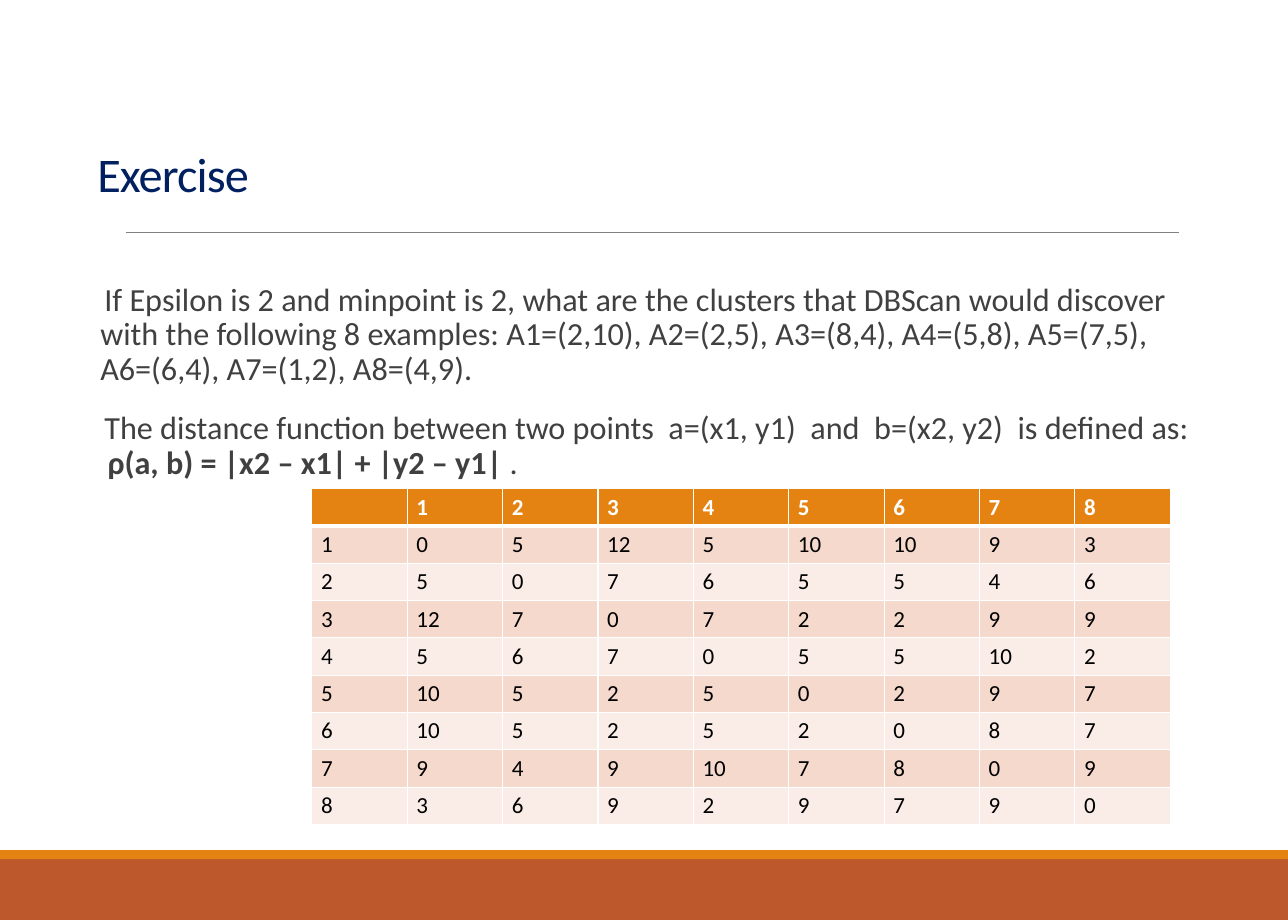
from lxml import etree
from pptx import Presentation
from pptx.dml.color import RGBColor
from pptx.enum.shapes import MSO_CONNECTOR, MSO_SHAPE
from pptx.enum.text import MSO_ANCHOR
from pptx.oxml.ns import qn
from pptx.util import Pt

LINE = MSO_CONNECTOR.STRAIGHT
RECT = MSO_SHAPE.RECTANGLE
TOP, BOTTOM = MSO_ANCHOR.TOP, MSO_ANCHOR.BOTTOM

FONT = "Calibri"
COLORS = {
    "rust": "BD582C", "orange": "E48312", "rule": "808080", "navy": "002060",
    "text": "404040", "white": "FFFFFF", "black": "000000",
    "band_dark": "F5D9CC", "band_light": "FAEDE7",
}

SLIDE_W, SLIDE_H = 1008, 720
MARGIN, TEXT_W = 69.1, 869
BARS = [("rust", 671.8, 48.2), ("orange", 665.3, 7)]
RULE_LEFT, RULE_RIGHT, RULE_Y = 98.6, 922.8, 182.2
TABLE_LEFT, TABLE_TOP, COL_W, ROW_H = 244.1, 382.4, 74.65, 29.2

TITLE = "Exercise"
BODY = [
    [[("If Epsilon is 2 and minpoint is 2, what are the clusters that DBScan "
       "would discover with the following 8 examples: A1=(2,10), A2=(2,5), "
       "A3=(8,4), A4=(5,8), A5=(7,5), A6=(6,4), A7=(1,2), A8=(4,9).", False)]],
    [[("The distance function between two points  a=(x1, y1)  and  "
       "b=(x2, y2)  is defined as:", False)],
     [(" ρ(a, b) = |x2 – x1| + |y2 – y1| ", True), (".", False)]],
]
DISTANCES = [
    ["", 1, 2, 3, 4, 5, 6, 7, 8],
    [1, 0, 5, 12, 5, 10, 10, 9, 3],
    [2, 5, 0, 7, 6, 5, 5, 4, 6],
    [3, 12, 7, 0, 7, 2, 2, 9, 9],
    [4, 5, 6, 7, 0, 5, 5, 10, 2],
    [5, 10, 5, 2, 5, 0, 2, 9, 7],
    [6, 10, 5, 2, 5, 2, 0, 8, 7],
    [7, 9, 4, 9, 10, 7, 8, 0, 9],
    [8, 3, 6, 9, 2, 9, 7, 9, 0],
]


def rgb(name):
    return RGBColor.from_string(COLORS[name])


def add_color(parent, tag, name):
    holder = etree.SubElement(parent, qn(tag))
    etree.SubElement(holder, qn("a:srgbClr"), val=COLORS[name])


def add_run(p, text, size, color, bold=False):
    r = p.add_run()
    r.text = text
    r.font.name, r.font.size, r.font.bold = FONT, Pt(size), bold
    r.font.color.rgb = rgb(color)
    return r


def add_text_box(s, top, height, anchor, side_inset):
    sp = s.shapes.add_textbox(Pt(MARGIN), Pt(top), Pt(TEXT_W), Pt(height))
    tf = sp.text_frame
    tf.word_wrap = True
    tf.vertical_anchor = anchor
    tf.margin_left = tf.margin_right = Pt(side_inset)
    return tf


def add_frame(s):
    for color, top, height in BARS:
        sp = s.shapes.add_shape(RECT, 0, Pt(top), Pt(SLIDE_W), Pt(height))
        sp.shadow.inherit = False
        sp.fill.solid()
        sp.fill.fore_color.rgb = rgb(color)
        sp.line.fill.background()
    rule = s.shapes.add_connector(LINE, Pt(RULE_LEFT), Pt(RULE_Y), Pt(RULE_RIGHT), Pt(RULE_Y))
    rule.line.color.rgb = rgb("rule")
    rule.line.width = Pt(0.5)
    etree.SubElement(rule._element.spPr, qn("a:effectLst"))


def add_title(s):
    p = add_text_box(s, 106.6, 55.4, BOTTOM, 7.2).paragraphs[0]
    p.line_spacing = 0.85
    r = add_run(p, TITLE, 37.8, "navy")
    r.font._element.set("spc", "-70")


def add_body(s):
    tf = add_text_box(s, 218.2, 416.2, TOP, 0)
    for i, lines in enumerate(BODY):
        p = tf.add_paragraph() if i else tf.paragraphs[0]
        p.line_spacing, p.space_before, p.space_after = 0.9, Pt(16), Pt(2.7)
        pPr = p._p.get_or_add_pPr()
        pPr.set("marL", str(Pt(9.4)))
        pPr.set("indent", str(-Pt(9.4)))
        add_color(pPr, "a:buClr", "orange")
        etree.SubElement(pPr, qn("a:buChar"), char=" ")
        for j, line in enumerate(lines):
            if j:
                p.add_line_break()
            for text, bold in line:
                add_run(p, text, 25.2, "text", bold)


def style_cell(cell, fill, top, bottom):
    tcPr = cell._tc.get_or_add_tcPr()
    for side, width in (("L", 1), ("R", 1), ("T", top), ("B", bottom)):
        ln = etree.SubElement(tcPr, qn("a:ln" + side), w=str(Pt(width)))
        add_color(ln, "a:solidFill", "white")
    cell.fill.solid()
    cell.fill.fore_color.rgb = rgb(fill)


def add_distance_table(s):
    n_rows, n_cols = len(DISTANCES), len(DISTANCES[0])
    table = s.shapes.add_table(n_rows, n_cols, Pt(TABLE_LEFT), Pt(TABLE_TOP),
                               Pt(n_cols * COL_W), Pt(n_rows * ROW_H)).table
    for col in table.columns:
        col.width = Pt(COL_W)
    for i, values in enumerate(DISTANCES):
        table.rows[i].height = Pt(ROW_H)
        header = i == 0
        fill = "orange" if header else "band_dark" if i % 2 else "band_light"
        for j, value in enumerate(values):
            cell = table.cell(i, j)
            style_cell(cell, fill, 3 if i == 1 else 1, 3 if header else 1)
            if value != "":
                add_run(cell.text_frame.paragraphs[0], str(value), 18,
                        "white" if header else "black", header)


def main():
    """Build the DBScan exercise slide with its distance table."""
    prs = Presentation()
    prs.slide_width, prs.slide_height = Pt(SLIDE_W), Pt(SLIDE_H)
    s = prs.slides.add_slide(prs.slide_layouts[6])
    add_frame(s)
    add_title(s)
    add_body(s)
    add_distance_table(s)
    prs.save("out.pptx")


if __name__ == "__main__":
    main()
